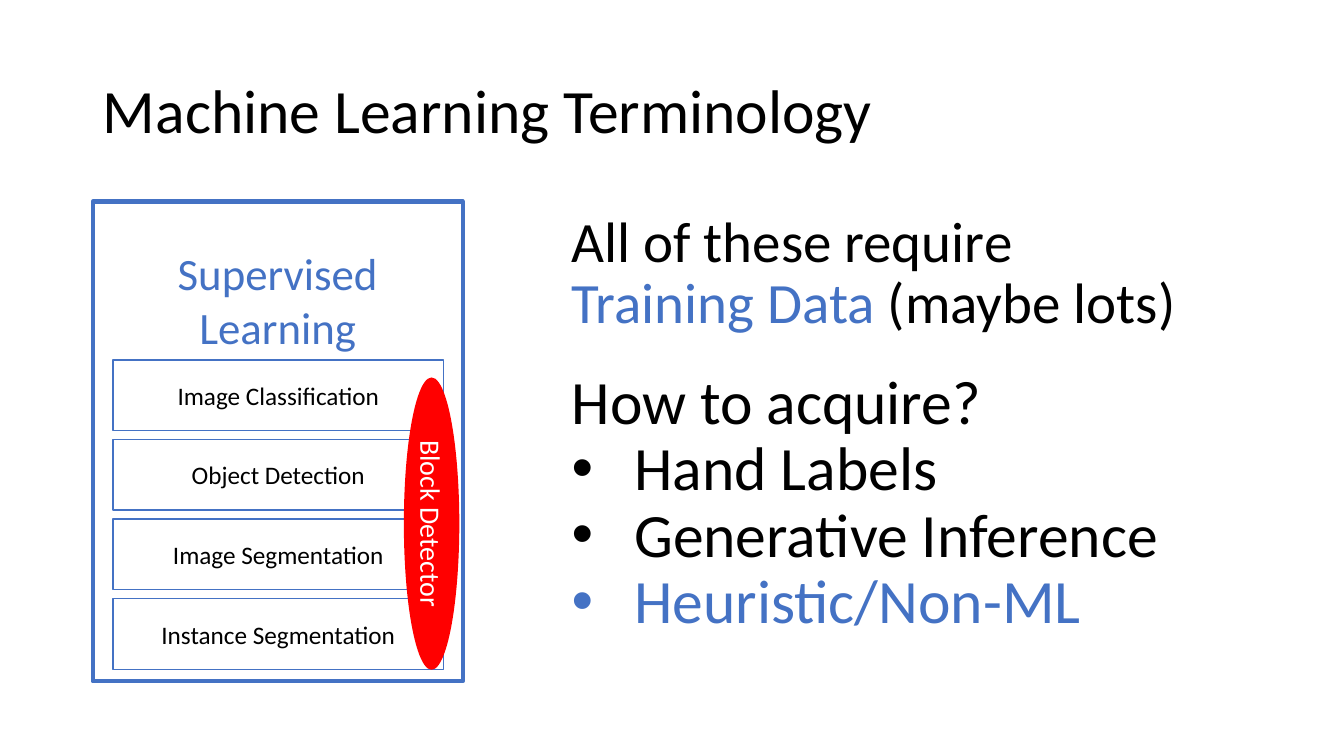
from lxml import etree
from pptx import Presentation
from pptx.dml.color import RGBColor
from pptx.enum.shapes import MSO_SHAPE
from pptx.enum.text import MSO_ANCHOR, MSO_AUTO_SIZE, PP_ALIGN
from pptx.oxml.ns import qn
from pptx.util import Emu, Pt

RECTANGLE, OVAL = MSO_SHAPE.RECTANGLE, MSO_SHAPE.OVAL
TOP, MIDDLE = MSO_ANCHOR.TOP, MSO_ANCHOR.MIDDLE
LEFT, CENTER = PP_ALIGN.LEFT, PP_ALIGN.CENTER
NO_FIT = MSO_AUTO_SIZE.NONE

PX = 9144
FONT = "Calibri"
BLACK, WHITE, BLUE, RED = "000000", "FFFFFF", "4472C4", "FF0000"
TASKS = ["Image Classification", "Object Detection", "Image Segmentation", "Instance Segmentation"]
SOURCES = [("Hand Labels", BLACK), ("Generative Inference", BLACK), ("Heuristic/Non-ML", BLUE)]


def color(value):
    return RGBColor.from_string(value)


def emu(box):
    return [Emu(length * PX) for length in box]


def move(shape, box):
    shape.left, shape.top, shape.width, shape.height = emu(box)


def prepare(frame, anchor):
    frame.word_wrap = True
    frame.auto_size = NO_FIT
    frame.vertical_anchor = anchor


def style(para, size, ink, align=LEFT, spacing=1.0):
    para.alignment = align
    para.line_spacing = spacing
    para.space_before = Pt(0)
    para.font.name = FONT
    para.font.size = Pt(size)
    para.font.color.rgb = color(ink)


def set_bullet(para, indent, mark=None):
    properties = para._p.get_or_add_pPr()
    properties.set("marL", str(indent * PX))
    properties.set("indent", str(-indent * PX))
    if mark:
        etree.SubElement(properties, qn("a:buFont")).set("typeface", "Arial")
        etree.SubElement(properties, qn("a:buChar")).set("char", mark)
    else:
        etree.SubElement(properties, qn("a:buNone"))


def add_block(page, kind, box, fill, line=None, weight=1):
    block = page.shapes.add_shape(kind, *emu(box))
    block.shadow.inherit = False
    block.fill.solid()
    block.fill.fore_color.rgb = color(fill)
    if line:
        block.line.color.rgb = color(line)
        block.line.width = Pt(weight)
    else:
        block.line.fill.background()
    return block


def write_label(shape, text, size, ink, anchor=MIDDLE):
    prepare(shape.text_frame, anchor)
    para = shape.text_frame.paragraphs[0]
    para.text = text
    style(para, size, ink, CENTER)


def add_title(page, box):
    title = page.shapes.title
    move(title, box)
    prepare(title.text_frame, MIDDLE)
    para = title.text_frame.paragraphs[0]
    para.text = "Machine Learning Terminology"
    style(para, 44, BLACK, spacing=0.9)


def add_learning_panel(page, box):
    left, top, width, height = box
    add_block(page, RECTANGLE, box, WHITE, BLUE, 3)
    heading = page.shapes.add_textbox(*emu((left, top + 39, width, 118)))
    write_label(heading, "Supervised Learning", 32, BLUE, TOP)
    for row, task in enumerate(TASKS):
        task_box = (left + 20, top + 157 + row * 79, width - 39, 70)
        write_label(add_block(page, RECTANGLE, task_box, WHITE, BLUE), task, 18, BLACK)
    detector = add_block(page, OVAL, (left + 191, top + 292, 290, 55), RED)
    detector.rotation = 90
    write_label(detector, "Block Detector", 20, WHITE)
    frame = detector.text_frame
    frame.margin_left = frame.margin_right = frame.margin_top = frame.margin_bottom = 0


def add_requirement(page, box):
    frame = page.shapes.add_textbox(*emu(box)).text_frame
    prepare(frame, MIDDLE)
    para = frame.paragraphs[0]
    style(para, 40.7, BLACK, spacing=0.9)
    for text, ink in [("All of these require ", BLACK), ("Training Data ", BLUE), ("(maybe lots)", BLACK)]:
        span = para.add_run()
        span.text = text
        span.font.color.rgb = color(ink)


def add_sources(page, box):
    body = page.placeholders[1]
    move(body, box)
    frame = body.text_frame
    prepare(frame, TOP)
    question = frame.paragraphs[0]
    question.text = "How to acquire?"
    set_bullet(question, 0)
    style(question, 44, BLACK, spacing=0.9)
    for text, ink in SOURCES:
        para = frame.add_paragraph()
        para.text = text
        set_bullet(para, 62, "•")
        style(para, 44, ink, spacing=0.9)


def main():
    deck = Presentation()
    deck.slide_width, deck.slide_height = emu((1333, 750))
    page = deck.slides.add_slide(deck.slide_layouts[1])
    add_title(page, (92, 40, 1150, 145))
    add_learning_panel(page, (92, 200, 367, 476))
    add_requirement(page, (557, 200, 636, 145))
    add_sources(page, (557, 363, 636, 312))
    deck.save("out.pptx")


if __name__ == "__main__":
    main()
